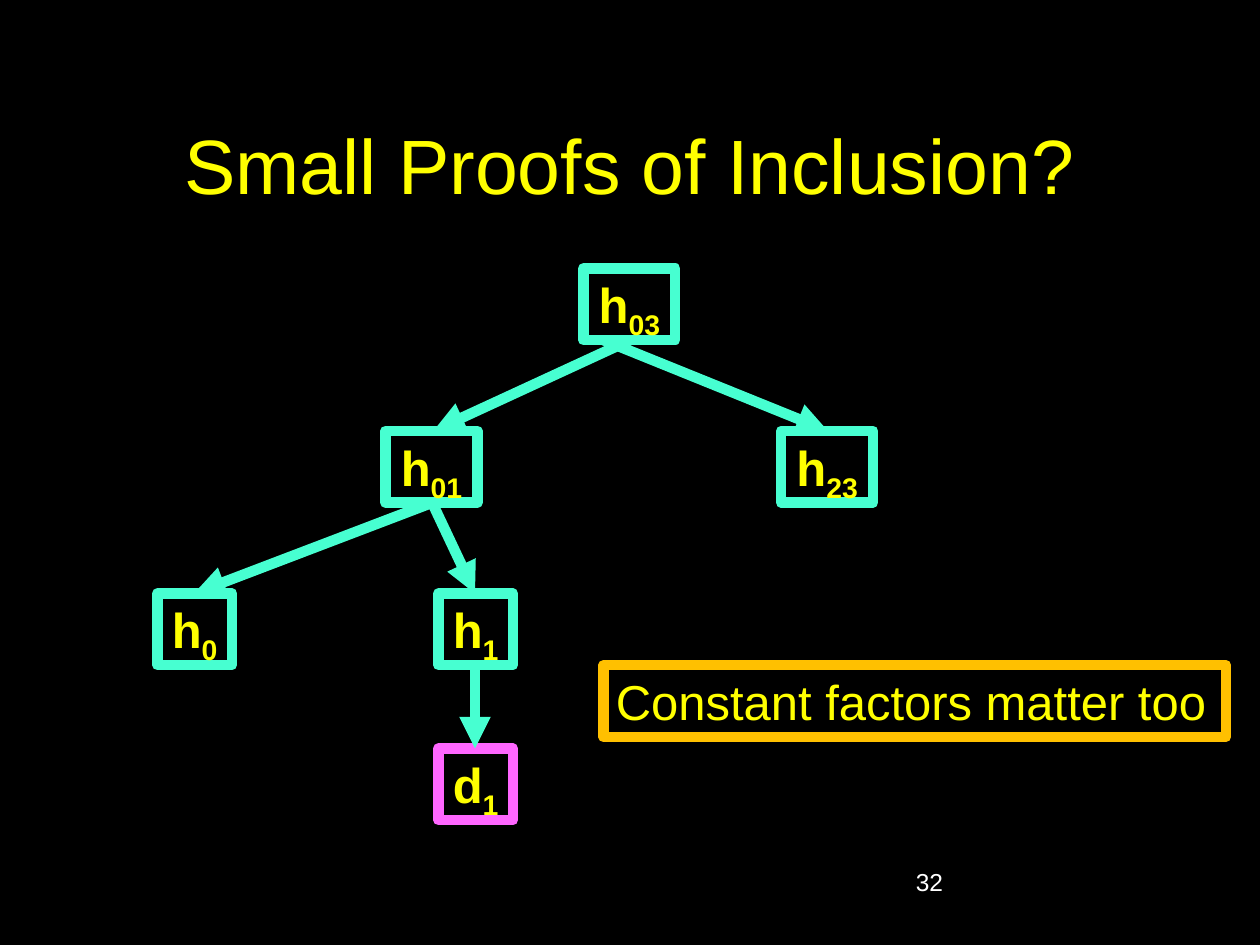
from dataclasses import dataclass

from lxml import etree
from pptx import Presentation
from pptx.dml.color import RGBColor
from pptx.enum import shapes, text
from pptx.oxml import ns
from pptx.util import Inches, Pt

COLORS = {
    "background": "000000",
    "text": "FFFF00",
    "number": "FFFFFF",
    "hash": "47FFD1",
    "data": "FF66FF",
    "callout": "FFC000",
}
BOX_H = 0.57
LINE_W = 6


@dataclass
class Node:
    letter: str
    index: str
    left: float
    top: float
    color: str = "hash"

    @property
    def width(self) -> float:
        return 0.73 if len(self.index) == 2 else 0.59


@dataclass
class Arrow:
    x1: float
    y1: float
    x2: float
    y2: float


def rgb(name: str) -> RGBColor:
    return RGBColor.from_string(COLORS[name])


def style_run(r, size: int, color: str, bold: bool = False) -> None:
    r.font.name = "Arial"
    r.font.size = Pt(size)
    r.font.bold = bold
    r.font.color.rgb = rgb(color)


def add_text(s, words: str, left: float, top: float, width: float, height: float,
             size: int, color: str):
    tf = s.shapes.add_textbox(Inches(left), Inches(top), Inches(width), Inches(height)).text_frame
    tf.word_wrap = True
    tf.text = words
    style_run(tf.paragraphs[0].runs[0], size, color)
    return tf


def add_box(s, words: str, left: float, top: float, width: float, color: str,
            align, bold: bool = False):
    sp = s.shapes.add_shape(shapes.MSO_SHAPE.RECTANGLE, Inches(left), Inches(top),
                            Inches(width), Inches(BOX_H))
    sp.shadow.inherit = False
    sp.fill.solid()
    sp.fill.fore_color.rgb = rgb("background")
    sp.line.color.rgb = rgb(color)
    sp.line.width = Pt(LINE_W)
    tf = sp.text_frame
    tf.word_wrap = False
    tf.auto_size = text.MSO_AUTO_SIZE.SHAPE_TO_FIT_TEXT
    tf.vertical_anchor = text.MSO_ANCHOR.TOP
    tf.text = words
    p = tf.paragraphs[0]
    p.alignment = align
    style_run(p.runs[0], 28, "text", bold)
    return p


def add_node(s, node: Node) -> None:
    p = add_box(s, node.letter, node.left, node.top, node.width, node.color,
                text.PP_ALIGN.CENTER, bold=True)
    r = p.add_run()
    r.text = node.index
    style_run(r, 28, "text", bold=True)
    r.font._element.set("baseline", "-25000")


def add_arrow(s, a: Arrow) -> None:
    c = s.shapes.add_connector(shapes.MSO_CONNECTOR.STRAIGHT, Inches(a.x1), Inches(a.y1),
                               Inches(a.x2), Inches(a.y2))
    c.line.color.rgb = rgb("hash")
    c.line.width = Pt(LINE_W)
    etree.SubElement(c.line._get_or_add_ln(), ns.qn("a:tailEnd"), type="triangle")
    etree.SubElement(c._element.spPr, ns.qn("a:effectLst"))


# Tree levels, top edges
ROOT, MIDDLE, LEAF, DATA = 2.13, 3.42, 4.71, 5.94

BACK_NODES = [
    Node("h", "03", 4.63, ROOT),
    Node("h", "0", 1.25, LEAF),
    Node("h", "1", 3.48, LEAF),
    Node("d", "1", 3.48, DATA, "data"),
]
ARROWS = [
    Arrow(3.77, LEAF + BOX_H, 3.77, DATA),
    Arrow(3.43, MIDDLE + BOX_H, 1.54, LEAF),
    Arrow(3.43, MIDDLE + BOX_H, 3.77, LEAF),
    Arrow(5, ROOT + BOX_H, 3.44, MIDDLE),
    Arrow(4.79, ROOT + BOX_H, 6.57, MIDDLE),
]
FRONT_NODES = [Node("h", "01", 3.06, MIDDLE), Node("h", "23", 6.2, MIDDLE)]


def main() -> None:
    prs = Presentation()
    prs.slide_width, prs.slide_height = Inches(10), Inches(7.5)
    s = prs.slides.add_slide(prs.slide_layouts[6])
    s.background.fill.solid()
    s.background.fill.fore_color.rgb = rgb("background")

    # Title and slide number
    tf = add_text(s, "Small Proofs of Inclusion?", 0.75, 0.67, 8.5, 1.25, 44, "text")
    tf.vertical_anchor = text.MSO_ANCHOR.MIDDLE
    tf.paragraphs[0].alignment = text.PP_ALIGN.CENTER
    add_text(s, "32", 7.17, 6.83, 2.08, 0.5, 14, "number")

    # Hash tree: the middle level covers the arrow ends
    for node in BACK_NODES:
        add_node(s, node)
    for arrow in ARROWS:
        add_arrow(s, arrow)
    for node in FRONT_NODES:
        add_node(s, node)

    # Callout
    add_box(s, "Constant factors matter too", 4.79, 5.28, 4.94, "callout", text.PP_ALIGN.LEFT)

    prs.save("out.pptx")


if __name__ == "__main__":
    main()
